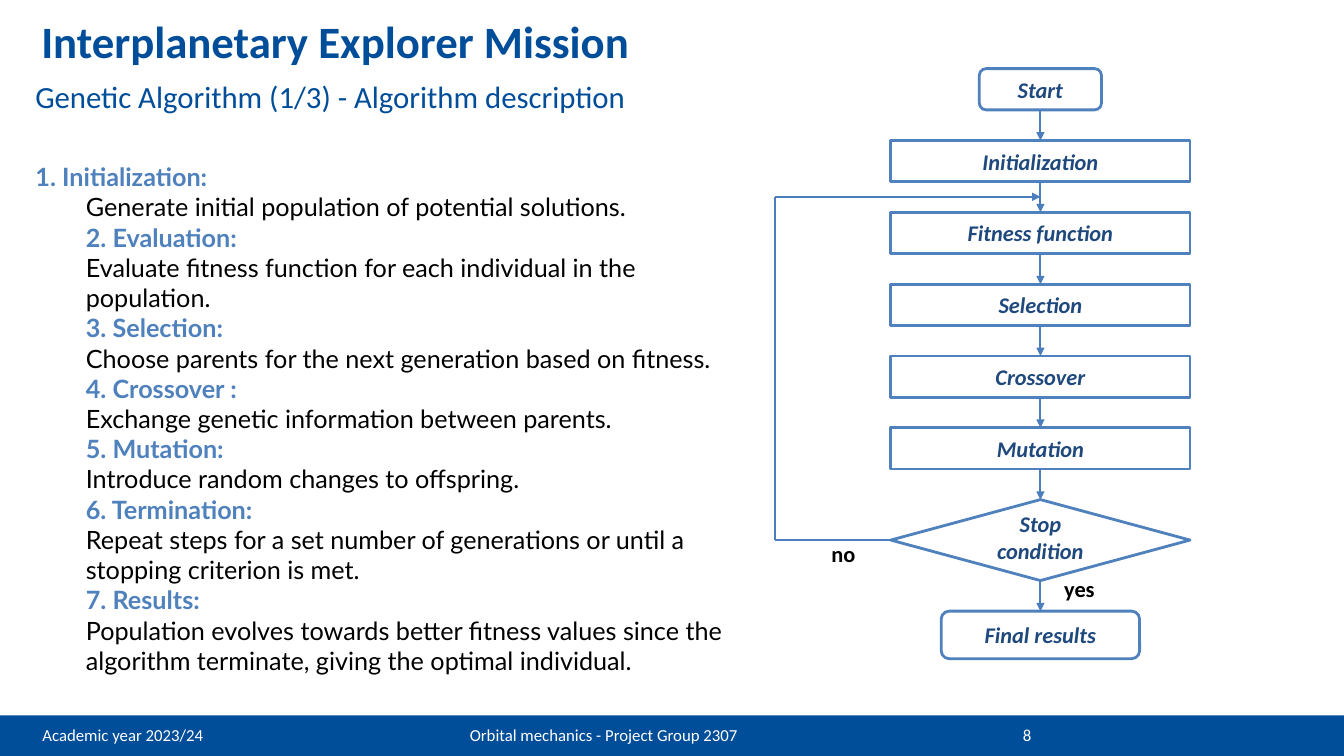
from lxml import etree
from pptx import Presentation
from pptx.dml.color import RGBColor
from pptx.enum.shapes import MSO_CONNECTOR, MSO_SHAPE
from pptx.enum.text import MSO_ANCHOR, MSO_AUTO_SIZE, PP_ALIGN
from pptx.oxml.ns import qn
from pptx.util import Cm, Pt

RECT = MSO_SHAPE.RECTANGLE
ROUND = MSO_SHAPE.ROUNDED_RECTANGLE
DIAMOND = MSO_SHAPE.FLOWCHART_DECISION
STRAIGHT = MSO_CONNECTOR.STRAIGHT
TOP, MIDDLE = MSO_ANCHOR.TOP, MSO_ANCHOR.MIDDLE
LEFT, CENTER = PP_ALIGN.LEFT, PP_ALIGN.CENTER
FIXED = MSO_AUTO_SIZE.NONE

NAVY = RGBColor(0x00, 0x4D, 0x99)
BLUE = RGBColor(0x4F, 0x81, 0xBD)
STEEL = RGBColor(0x4B, 0x7E, 0xBC)
DARK = RGBColor(0x1F, 0x49, 0x7D)
BLACK = RGBColor(0x00, 0x00, 0x00)
WHITE = RGBColor(0xFF, 0xFF, 0xFF)


def write(para, text, size, color, bold=False, face="Calibri"):
    run = para.add_run()
    run.text = text
    font = run.font
    font.name, font.size, font.bold = face, Pt(size), bold
    font.color.rgb = color
    return font


def link(x1, y1, x2, y2, arrow=True):
    line = slide.shapes.add_connector(STRAIGHT, Cm(x1), Cm(y1), Cm(x2), Cm(y2))
    line.line.color.rgb = STEEL
    line.line.width = Pt(1.5)
    if arrow:
        etree.SubElement(line.line._get_or_add_ln(), qn("a:tailEnd"), type="triangle")
    etree.SubElement(line._element.spPr, qn("a:effectLst"))
    return line


deck = Presentation()
deck.slide_width, deck.slide_height = Cm(33.87), Cm(19.05)
slide = deck.slides.add_slide(deck.slide_layouts[1])
shapes = slide.shapes

band = shapes.add_shape(RECT, 0, Cm(18.03), Cm(33.87), Cm(1.02))
band.shadow.inherit = False
band.fill.solid()
band.fill.fore_color.rgb = NAVY
band.line.fill.background()

title = shapes.title
title.left, title.top, title.width, title.height = Cm(1.04), Cm(0.28), Cm(16.1), Cm(1.42)
frame = title.text_frame
frame.auto_size, frame.vertical_anchor = FIXED, TOP
frame.margin_left = frame.margin_right = frame.margin_bottom = 0
frame.margin_top = Cm(0.06)
frame.paragraphs[0].alignment = LEFT
write(frame.paragraphs[0], "Interplanetary Explorer Mission", 32, NAVY, True)

plain = [
    (0.89, 1.96, 16.28, 0.97, "Genetic Algorithm (1/3) - Algorithm description", 22, NAVY),
    (1.07, 18.34, 4.14, 0.48, "Academic year 2023/24", 12, WHITE),
    (11.84, 18.34, 8.84, 0.48, "Orbital mechanics - Project Group 2307", 12, WHITE),
    (25.78, 18.34, 0.6, 0.48, "8", 12, WHITE),
]
for x, y, w, h, text, size, color in plain:
    frame = shapes.add_textbox(Cm(x), Cm(y), Cm(w), Cm(h)).text_frame
    frame.word_wrap = True
    frame.margin_left = frame.margin_right = frame.margin_top = frame.margin_bottom = 0
    if size == 12:
        frame.paragraphs[0].line_spacing = Pt(12.4)
    write(frame.paragraphs[0], text, size, color)

steps = [
    ("1. Initialization:", "Generate initial population of potential solutions."),
    ("2. Evaluation:", "Evaluate fitness function for each individual in the population."),
    ("3. Selection:", "Choose parents for the next generation based on fitness."),
    ("4. Crossover :", "Exchange genetic information between parents."),
    ("5. Mutation:", "Introduce random changes to offspring."),
    ("6. Termination:", "Repeat steps for a set number of generations or until a "
     "stopping criterion is met."),
    ("7. Results:", "Population evolves towards better fitness values since the "
     "algorithm terminate, giving the optimal individual."),
]
body = slide.placeholders[1]
body.left, body.top, body.width, body.height = Cm(0.64), Cm(3.94), Cm(18.03), Cm(13.4)
frame = body.text_frame
frame.auto_size, frame.vertical_anchor = FIXED, TOP
para = frame.paragraphs[0]
for num, (head, note) in enumerate(steps):
    for text, color, bold in ((head, BLUE, True), (note, BLACK, False)):
        first = num == 0 and bold
        if not first:
            para = frame.add_paragraph()
        props = para._p.get_or_add_pPr()
        props.set("marL", str(0 if first else Cm(1.27)))
        props.set("indent", "0")
        etree.SubElement(props, qn("a:buNone"))
        para.space_before = Pt(0)
        write(para, text, 18, color, bold, "Lato")

MID, GAP, TALL, WIDE = 26.22, 0.77, 1.04, 7.54
nodes = [
    ("Start", ROUND, 3.08, TALL),
    ("Initialization", RECT, WIDE, TALL),
    ("Fitness function", RECT, WIDE, TALL),
    ("Selection", RECT, WIDE, TALL),
    ("Crossover", RECT, WIDE, TALL),
    ("Mutation", RECT, WIDE, TALL),
    ("Stop condition", DIAMOND, WIDE, 2.04),
    ("Final results", ROUND, 5, 1.2),
]
top, last = 1.73, None
for text, kind, wide, tall in nodes:
    node = shapes.add_shape(kind, Cm(MID - wide / 2), Cm(top), Cm(wide), Cm(tall))
    node.shadow.inherit = False
    node.fill.solid()
    node.fill.fore_color.rgb = WHITE
    node.line.color.rgb = BLUE
    node.line.width = Pt(2)
    frame = node.text_frame
    frame.word_wrap, frame.vertical_anchor = True, MIDDLE
    if kind == DIAMOND:
        frame.margin_bottom = Cm(0.3)
        turn = top + tall / 2
    frame.paragraphs[0].alignment = CENTER
    write(frame.paragraphs[0], text, 16, DARK, True).italic = True
    if last:
        arrow = link(MID, top - GAP, MID, top)
        arrow.begin_connect(last, 2)
        arrow.end_connect(node, 0)
    top += tall + GAP
    last = node

SIDE, BACK = 19.53, 4.96
link(MID - WIDE / 2, turn, SIDE, turn, False)
link(SIDE, turn, SIDE, BACK, False)
link(SIDE, BACK, MID, BACK)

for text, x, y, w in (("yes", 26.57, 14.38, 1.3), ("no", 20.7, 13.49, 1.12)):
    frame = shapes.add_textbox(Cm(x), Cm(y), Cm(w), Cm(0.94)).text_frame
    frame.word_wrap = False
    write(frame.paragraphs[0], text, 16, BLACK, True)

deck.save("out.pptx")
